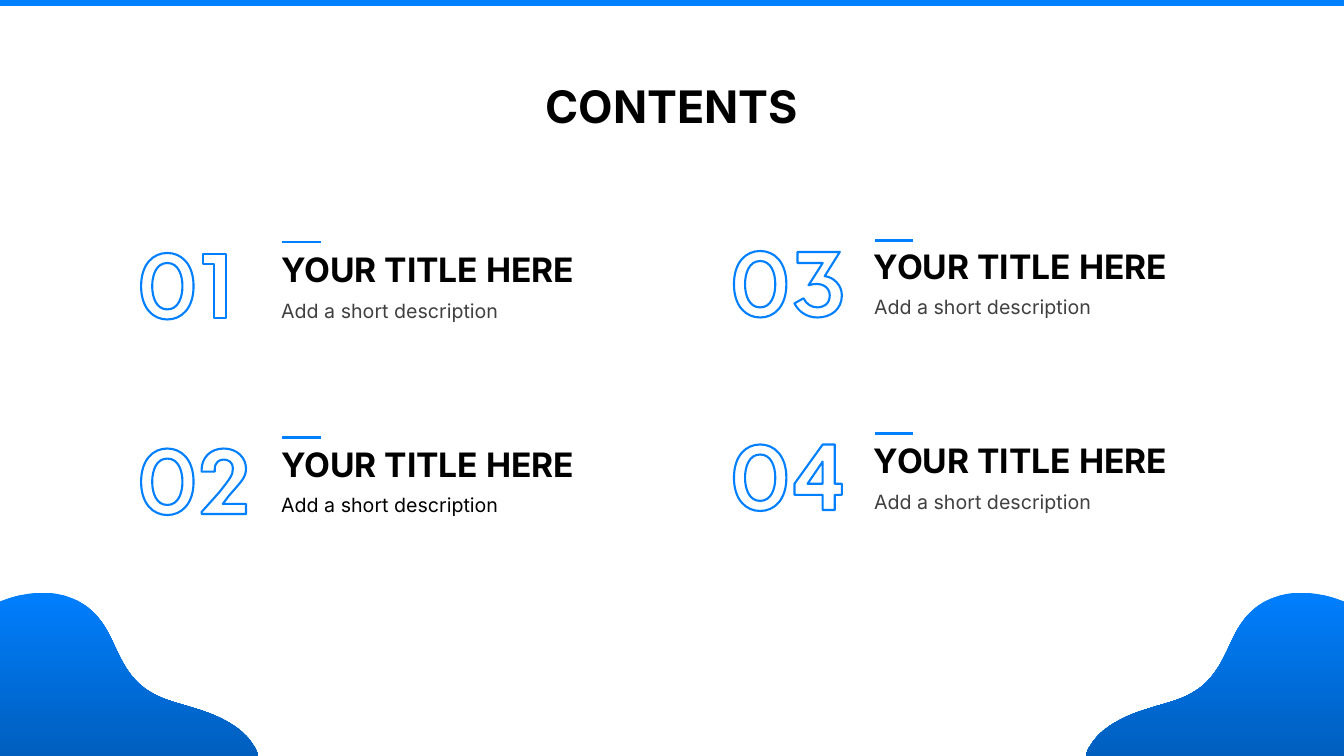
from pptx import Presentation
from pptx.dml.color import RGBColor
from pptx.enum.shapes import MSO_CONNECTOR, MSO_SHAPE
from pptx.enum.text import MSO_AUTO_SIZE, PP_ALIGN
from pptx.oxml.ns import qn
from pptx.util import Inches, Pt
from lxml.etree import SubElement

# Content
COLORS = {"blue": "007FFE", "deep": "005FBE", "white": "FFFFFF",
          "black": "000000", "grey": "404040"}
HEADING = "CONTENTS"
TITLE = "YOUR TITLE HERE"
DESCRIPTION = "Add a short description"
# digit, column, tops of number, rule, title and description, description colour
ITEMS = [
    ("1", 0, (2.51, 2.4, 2.42, 2.92), "grey"),
    ("2", 0, (4.45, 4.34, 4.35, 4.84), "black"),
    ("3", 1, (2.49, 2.39, 2.39, 2.88), "grey"),
    ("4", 1, (4.41, 4.3, 4.32, 4.81), "grey"),
]

# Outlines, in hundredths of an inch
ZERO = ("M 26 10 C 15 10 11 22 11 33 C 11 44 15 56 26 56 C 37 56 41 44 41 33 "
        "C 41 22 37 10 26 10 ")
ZERO_RIM = (" M 26 0 C 40 0 52 11 52 33 C 52 55 40 66 26 66 "
            "C 12 66 0 55 0 33 C 0 11 12 0 26 0")
DIGITS = {
    "1": "M 61 1 L 84 1 L 84 65 L 72 65 L 72 11 L 61 11",
    "2": "M 82 0 C 95 0 104 9 104 20 C 104 29 99 33 87 47 L 81 55 L 104 55 "
         "L 104 65 L 60 65 L 60 63 L 77 44 C 89 29 91 26 91 20 C 91 13 86 11 82 11 "
         "C 78 11 73 13 73 21 L 73 23 L 60 23 L 60 21 C 60 10 68 0 82 0",
    "3": "M 63 1 L 105 1 L 90 25 C 99 26 107 34 107 44 C 107 58 96 66 83 66 "
         "C 72 66 64 60 60 52 L 69 47 C 72 53 77 56 83 56 C 87 56 95 54 95 44 "
         "C 95 36 87 30 74 34 L 88 12 L 63 12",
    "4": "M 88 17 L 73 39 L 88 39 M 88 0 L 100 0 L 100 39 L 107 39 L 107 50 "
         "L 100 50 L 100 65 L 88 65 L 88 50 L 60 50 L 60 39",
}
WAVE = ("M 5 10 C 24 3 48 0 67 7 C 92 15 104 34 112 52 C 121 71 129 90 150 102 "
        "C 163 110 179 113 194 118 C 218 125 241 137 251 154 "
        "C 254 158 255 161 256 165 C 0 165 0 165 0 165 C 0 12 0 12 0 12 "
        "C 2 11 3 11 5 10")

# Grid
WIDTH, HEIGHT = 13.33, 7.5
NUMBER_LEFT = (1.4, 7.28)
RULE_LEFT, RULE_W = (2.8, 8.68), 0.38
TEXT_LEFT = (2.69, 8.57)

prs = Presentation()
prs.slide_width, prs.slide_height = Inches(WIDTH), Inches(HEIGHT)
s = prs.slides.add_slide(prs.slide_layouts[6])


def color(name):
    return RGBColor.from_string(COLORS[name])


def add_outline(outline, left, top, flip=1):
    """Draw an outline of M, L and C steps as one freeform."""
    tokens = iter(outline.split())
    steps, contours = [], []
    for step in tokens:
        pts = [(Inches(left + flip * int(next(tokens)) / 100),
                Inches(top + int(next(tokens)) / 100))
               for _ in range(3 if step == "C" else 1)]
        if step == "M":
            contours.append(pts)
        else:
            contours[-1] += pts
            steps.append(step)
    builder = s.shapes.build_freeform(*contours[0][0], scale=1.0)
    for i, (start, *rest) in enumerate(contours):
        if i:
            builder.move_to(*start)
        builder.add_line_segments(rest, close=True)
    sp = builder.convert_to_shape()
    sp.shadow.inherit = False

    # Join each three points of a curve step into one Bezier segment
    nodes = iter(list(sp._element.iter(qn("a:lnTo"))))
    for step in steps:
        node = next(nodes)
        if step == "C":
            path = node.getparent()
            curve = path.makeelement(qn("a:cubicBezTo"))
            node.addprevious(curve)
            for point in (node, next(nodes), next(nodes)):
                curve.append(point[0])
                path.remove(point)
    return sp


def add_text(text, box, size, name="black", bold=False, wrap=True,
             align=PP_ALIGN.LEFT):
    tf = s.shapes.add_textbox(*map(Inches, box)).text_frame
    tf.word_wrap = wrap
    tf.auto_size = MSO_AUTO_SIZE.SHAPE_TO_FIT_TEXT
    p = tf.paragraphs[0]
    p.alignment = align
    r = p.add_run()
    r.text = text
    for key, value in {"name": "Inter", "size": Pt(size), "bold": bold}.items():
        setattr(r.font, key, value)
    r.font.color.rgb = color(name)


def add_rule(left, top):
    line = s.shapes.add_connector(MSO_CONNECTOR.STRAIGHT, Inches(left), Inches(top),
                                  Inches(left + RULE_W), Inches(top))
    line.line.color.rgb = color("blue")
    line.line.width = Pt(2)
    SubElement(line._element.spPr, qn("a:effectLst"))


# Heading and top bar
add_text(HEADING, (3.81, 0.73, 5.71, 0.64), 32, bold=True, align=PP_ALIGN.CENTER)
bar = s.shapes.add_shape(MSO_SHAPE.RECTANGLE, 0, 0, prs.slide_width, Inches(0.06))
bar.shadow.inherit = False
bar.fill.solid()
bar.fill.fore_color.rgb = color("blue")
bar.line.fill.background()

# Numbered entries
for digit, column, tops, tone in ITEMS:
    number_top, rule_top, title_top, description_top = tops
    number = add_outline(ZERO + DIGITS[digit] + ZERO_RIM,
                         NUMBER_LEFT[column], number_top)
    number.fill.solid()
    number.fill.fore_color.rgb = color("white")
    number.line.color.rgb = color("blue")
    number.line.width = Pt(1.5)
    add_rule(RULE_LEFT[column], rule_top)
    left = TEXT_LEFT[column]
    add_text(TITLE, (left, title_top, 3.13, 0.5), 24, bold=True, wrap=False)
    add_text(DESCRIPTION, (left, description_top, 3.52, 0.34), 14, tone)

# Corner waves, mirrored left and right
for edge, flip in ((0, 1), (WIDTH, -1)):
    wave = add_outline(WAVE, edge, 5.85, flip)
    wave.line.fill.background()
    wave.fill.gradient()
    wave.fill.gradient_angle = 270
    for stop, name, position in zip(wave.fill.gradient_stops, ("blue", "deep"), (0, 1)):
        stop.color.rgb = color(name)
        stop.position = position

prs.save("out.pptx")
